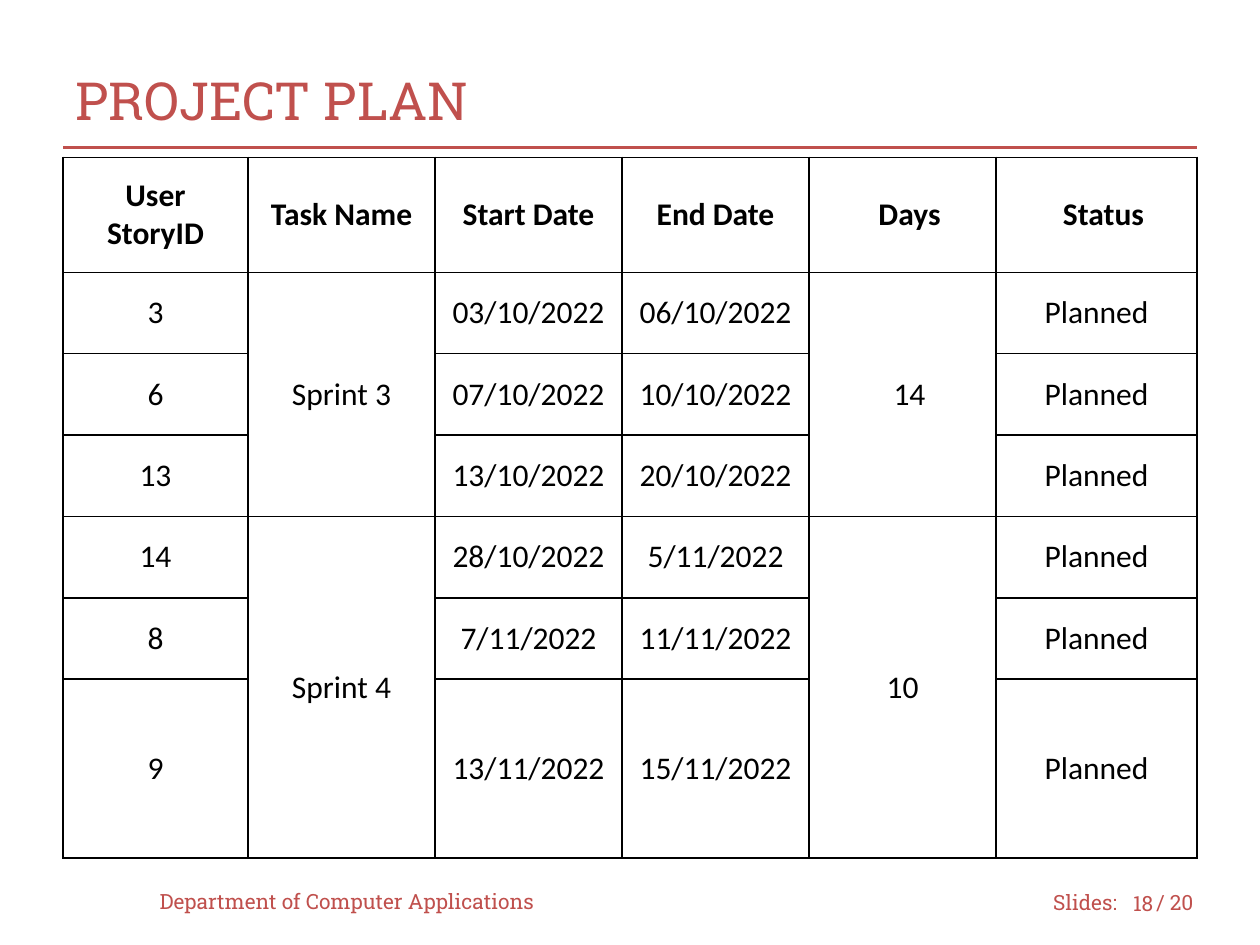
from lxml import etree
from pptx import Presentation
from pptx.dml.color import RGBColor
from pptx.enum.shapes import MSO_CONNECTOR
from pptx.enum.text import MSO_ANCHOR, MSO_AUTO_SIZE, PP_ALIGN
from pptx.oxml import parse_xml
from pptx.oxml.ns import nsdecls, qn
from pptx.util import Cm, Pt

STRAIGHT = MSO_CONNECTOR.STRAIGHT
MIDDLE = MSO_ANCHOR.MIDDLE
LEFT, CENTER, RIGHT = PP_ALIGN.LEFT, PP_ALIGN.CENTER, PP_ALIGN.RIGHT

ACCENT = RGBColor(0xC0, 0x50, 0x4D)
BLACK = RGBColor(0, 0, 0)
WHITE = RGBColor(0xFF, 0xFF, 0xFF)

BODY_FONT = "Calibri"
ACCENT_FONT = "Roboto Slab"

COLUMN_WIDTHS = [3.73] + [3.77] * 4 + [4.05]
ROW_HEIGHTS = [2.32] + [1.64] * 5 + [3.61]
CELL_MARGIN = 0.25
NUDGE = 0.28  # extra left margin of the cells set slightly right of centre
NUDGED_CELLS = {(0, 4), (0, 5), (1, 4)}

HEADERS = ["User\nStoryID", "Task Name", "Start Date", "End Date", "Days", "Status"]
# Sprint name, days, and its stories as (ID, start, end)
SPRINTS = [
    ("Sprint 3", "14", [
        ("3", "03/10/2022", "06/10/2022"),
        ("6", "07/10/2022", "10/10/2022"),
        ("13", "13/10/2022", "20/10/2022"),
    ]),
    ("Sprint 4", "10", [
        ("14", "28/10/2022", "5/11/2022"),
        ("8", "7/11/2022", "11/11/2022"),
        ("9", "13/11/2022", "15/11/2022"),
    ]),
]
STATUS = "Planned"
TASK_COLUMN, DAYS_COLUMN = 1, 4

# Text, left, top, width, alignment
FOOTER = [
    ("Department of Computer Applications", 2.97, 17.65, 8.46, LEFT),
    ("Slides:", 20.98, 17.68, 1.9, LEFT),
    ("18", 22.43, 17.7, 1.07, RIGHT),
    ("/ 20", 23.06, 17.68, 1.47, LEFT),
]


def format_text(frame, font, size, color, align, bold=False):
    for para in frame.paragraphs:
        para.alignment = align
        para.font.name = font
        para.font.size = Pt(size)
        para.font.color.rgb = color
        para.font.bold = bold


def add_title(page, text):
    title = page.shapes.title
    title.left, title.top, title.width, title.height = Cm(1.27), Cm(0.84), Cm(22.86), Cm(2.34)
    frame = title.text_frame
    frame.text = text
    frame.auto_size = MSO_AUTO_SIZE.NONE
    frame.vertical_anchor = MIDDLE
    format_text(frame, ACCENT_FONT, 30, ACCENT, LEFT)


def add_rule(page, top):
    rule = page.shapes.add_connector(STRAIGHT, Cm(1.27), Cm(top), Cm(24.13), Cm(top))
    rule.line.color.rgb = ACCENT
    rule.line.width = Pt(1.75)
    etree.SubElement(rule._element.spPr, qn("a:effectLst"))


def add_label(page, text, left, top, width, align):
    box = page.shapes.add_textbox(Cm(left), Cm(top), Cm(width), Cm(1.02))
    frame = box.text_frame
    frame.word_wrap = True
    frame.vertical_anchor = MIDDLE
    frame.text = text
    format_text(frame, ACCENT_FONT, 12, ACCENT, align)


def add_borders(cell):
    properties = cell._tc.get_or_add_tcPr()
    for side in ("lnL", "lnR", "lnT", "lnB"):
        properties.append(parse_xml(
            f'<a:{side} {nsdecls("a")} w="{Pt(1)}"><a:solidFill>'
            f'<a:srgbClr val="{BLACK}"/></a:solidFill></a:{side}>'))


def format_cell(cell, bold, nudge):
    add_borders(cell)
    cell.fill.solid()
    cell.fill.fore_color.rgb = WHITE
    cell.vertical_anchor = MIDDLE
    cell.margin_top = cell.margin_bottom = cell.margin_right = Cm(CELL_MARGIN)
    cell.margin_left = Cm(CELL_MARGIN + nudge)
    format_text(cell.text_frame, BODY_FONT, 18, BLACK, CENTER, bold)


def fill_plan(table):
    for column, header in enumerate(HEADERS):
        table.cell(0, column).text = header
    row = 1
    for sprint, days, stories in SPRINTS:
        last = row + len(stories) - 1
        for column, text in ((TASK_COLUMN, sprint), (DAYS_COLUMN, days)):
            table.cell(row, column).merge(table.cell(last, column))
            table.cell(row, column).text = text
        for story, start, end in stories:
            for column, text in ((0, story), (2, start), (3, end), (5, STATUS)):
                table.cell(row, column).text = text
            row += 1


def add_plan_table(page):
    frame = page.shapes.add_table(
        len(ROW_HEIGHTS), len(COLUMN_WIDTHS), Cm(1.27), Cm(3.17),
        Cm(sum(COLUMN_WIDTHS)), Cm(sum(ROW_HEIGHTS)))
    table = frame.table
    for column, width in zip(table.columns, COLUMN_WIDTHS):
        column.width = Cm(width)
    for row, height in zip(table.rows, ROW_HEIGHTS):
        row.height = Cm(height)
    fill_plan(table)
    for r, row in enumerate(table.rows):
        for c, cell in enumerate(row.cells):
            format_cell(cell, r == 0, NUDGE if (r, c) in NUDGED_CELLS else 0)


def main():
    deck = Presentation()
    deck.slide_width, deck.slide_height = Cm(25.4), Cm(19.05)
    page = deck.slides.add_slide(deck.slide_layouts[5])

    # Heading
    add_rule(page, 2.97)
    add_title(page, "PROJECT PLAN")

    # Sprint schedule
    add_plan_table(page)

    # Footer
    for label in FOOTER:
        add_label(page, *label)

    deck.save("out.pptx")


if __name__ == "__main__":
    main()
